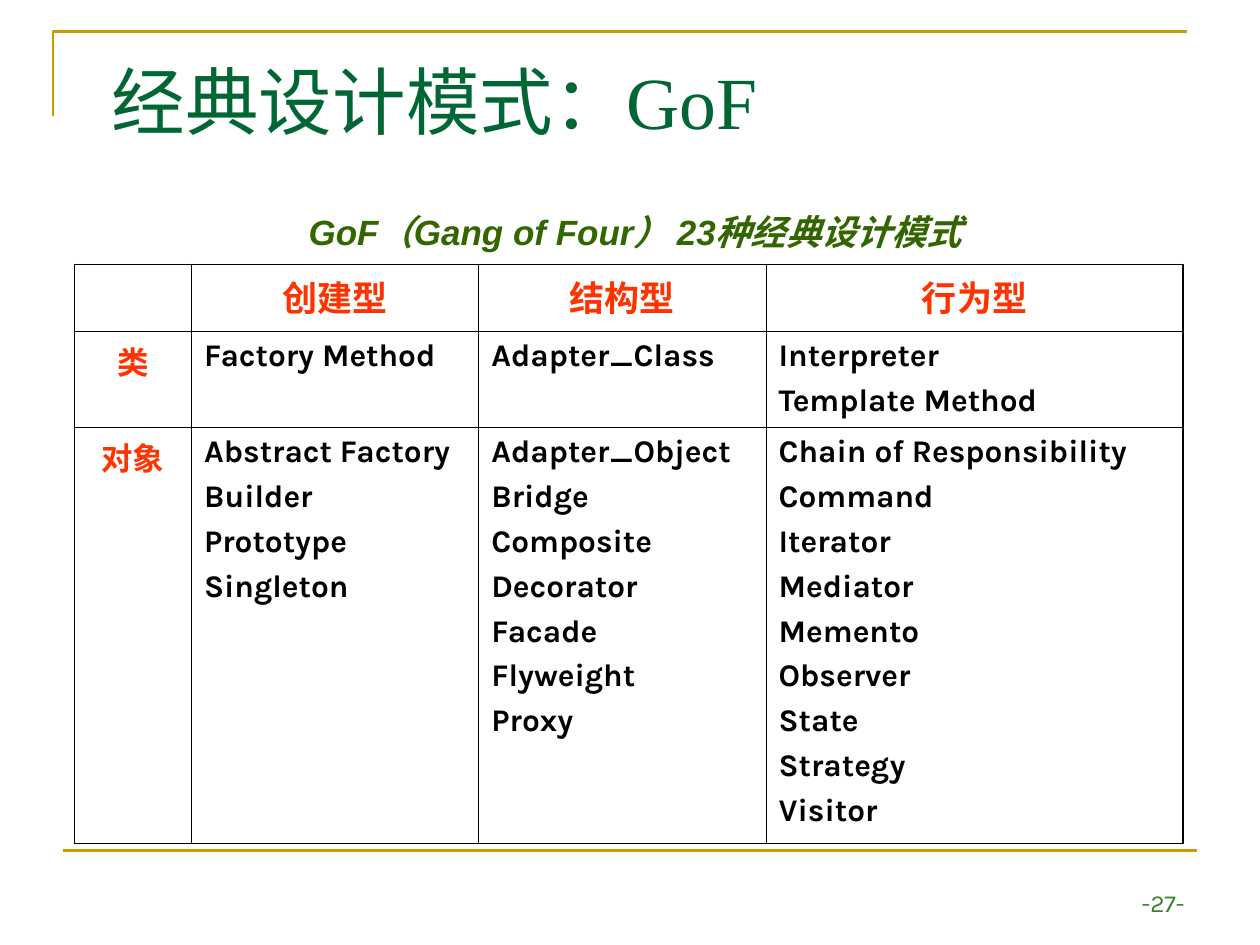
from lxml import etree
from pptx import Presentation
from pptx.dml.color import RGBColor
from pptx.enum.shapes import MSO_CONNECTOR
from pptx.enum.text import MSO_ANCHOR, PP_ALIGN
from pptx.oxml.ns import qn
from pptx.util import Inches, Pt

LEFT, CENTER, RIGHT = PP_ALIGN.LEFT, PP_ALIGN.CENTER, PP_ALIGN.RIGHT
TOP, MIDDLE, BOTTOM = MSO_ANCHOR.TOP, MSO_ANCHOR.MIDDLE, MSO_ANCHOR.BOTTOM
STRAIGHT = MSO_CONNECTOR.STRAIGHT

GOLD, GREEN, RED, BLACK = "CC9900", "006633", "FF3300", "000000"
INNER_BORDER, OUTER_BORDER = 0.45, 1.08

HEADER_TEXT = {"name": "Karla", "size": Pt(20), "bold": True}
BODY_TEXT = {"name": "Karla", "size": Pt(18), "bold": True}

COLUMN_WIDTHS = [0.93, 2.28, 2.28, 3.31]
ROW_HEIGHTS = [0.53, 0.76, 3.3]
PATTERNS = [
    [[], ["创建型"], ["结构型"], ["行为型"]],
    [["类"], ["Factory Method"], ["Adapter_Class"],
     ["Interpreter", "Template Method"]],
    [["对象"],
     ["Abstract Factory", "Builder", "Prototype", "Singleton"],
     ["Adapter_Object", "Bridge", "Composite", "Decorator", "Facade",
      "Flyweight", "Proxy"],
     ["Chain of Responsibility", "Command", "Iterator", "Mediator", "Memento",
      "Observer", "State", "Strategy", "Visitor"]],
]


def rgb(hex_color):
    return RGBColor.from_string(hex_color)


class SlideBuilder:
    def __init__(self, slide):
        self.slide = slide
        self.shapes = slide.shapes

    def style_line(self, line):
        line.color.rgb = rgb(GOLD)
        line.width = Pt(1.5)

    def corner(self, points):
        """Draw an open, unfilled outline through the points."""
        start, *rest = [(Inches(x), Inches(y)) for x, y in points]
        builder = self.shapes.build_freeform(*start)
        builder.add_line_segments(rest, close=False)
        outline = builder.convert_to_shape()
        outline.shadow.inherit = False
        outline.fill.background()
        self.style_line(outline.line)

    def rule(self, x1, y1, x2, y2):
        connector = self.shapes.add_connector(
            STRAIGHT, Inches(x1), Inches(y1), Inches(x2), Inches(y2))
        self.style_line(connector.line)
        etree.SubElement(connector._element.spPr, qn("a:effectLst"))

    def fill_text(self, frame, lines, style, color, align, gap=0):
        """Fill a text frame with one paragraph per line, gap points apart."""
        for index, line in enumerate(lines):
            paragraph = frame.paragraphs[0] if index == 0 else frame.add_paragraph()
            paragraph.alignment = align
            if index:
                paragraph.space_before = Pt(gap)
            run = paragraph.add_run()
            run.text = line
            for key, value in style.items():
                setattr(run.font, key, value)
            run.font.color.rgb = rgb(color)

    def text(self, x, y, width, height, content, style, color, align, anchor):
        frame = self.shapes.add_textbox(
            Inches(x), Inches(y), Inches(width), Inches(height)).text_frame
        frame.word_wrap = True
        frame.vertical_anchor = anchor
        self.fill_text(frame, [content], style, color, align)

    def cell_borders(self, cell, widths):
        properties = cell._tc.get_or_add_tcPr()
        for index, (side, width) in enumerate(widths.items()):
            border = etree.Element(qn(f"a:ln{side}"), w=str(Pt(width)))
            fill = etree.SubElement(border, qn("a:solidFill"))
            etree.SubElement(fill, qn("a:srgbClr"), val=BLACK)
            properties.insert(index, border)

    def table(self, x, y, column_widths, row_heights, rows):
        last_row, last_column = len(row_heights) - 1, len(column_widths) - 1
        table = self.shapes.add_table(
            len(row_heights), len(column_widths), Inches(x), Inches(y),
            Inches(sum(column_widths)), Inches(sum(row_heights))).table
        table.first_row = table.horz_banding = False
        for column, width in zip(table.columns, column_widths):
            column.width = Inches(width)
        for row, height in zip(table.rows, row_heights):
            row.height = Inches(height)
        for r, row in enumerate(rows):
            for c, lines in enumerate(row):
                cell = table.cell(r, c)
                cell.fill.background()
                on_edge = {"L": c == 0, "R": c == last_column,
                           "T": r == 0, "B": r == last_row}
                self.cell_borders(cell, {
                    side: OUTER_BORDER if outer else INNER_BORDER
                    for side, outer in on_edge.items()})
                heading = r == 0 or c == 0
                self.fill_text(cell.text_frame, lines,
                               HEADER_TEXT if r == 0 else BODY_TEXT,
                               RED if heading else BLACK,
                               CENTER if heading else LEFT, gap=4.5)


def main():
    deck = Presentation()
    deck.slide_width, deck.slide_height = Inches(10), Inches(7.5)
    page = SlideBuilder(deck.slides.add_slide(deck.slide_layouts[6]))

    page.corner([(0.42, 0.92), (0.42, 0.25), (9.42, 0.25)])
    page.rule(0.5, 6.75, 9.5, 6.75)
    page.text(7.17, 6.83, 2.33, 0.5, "-27-",
              {"name": "Karla", "size": Pt(14)}, "3B812F", RIGHT, BOTTOM)
    page.text(0.79, 0.36, 8.52, 0.87, "经典设计模式：GoF",
              {"name": "Times New Roman", "size": Pt(42)}, GREEN, LEFT, MIDDLE)
    page.table(0.59, 2.1, COLUMN_WIDTHS, ROW_HEIGHTS, PATTERNS)
    page.text(0.67, 1.62, 8.74, 0.44, "GoF（Gang of Four） 23种经典设计模式",
              {"name": "Arial", "size": Pt(20), "bold": True, "italic": True},
              "336600", CENTER, TOP)

    deck.save("out.pptx")


if __name__ == "__main__":
    main()
